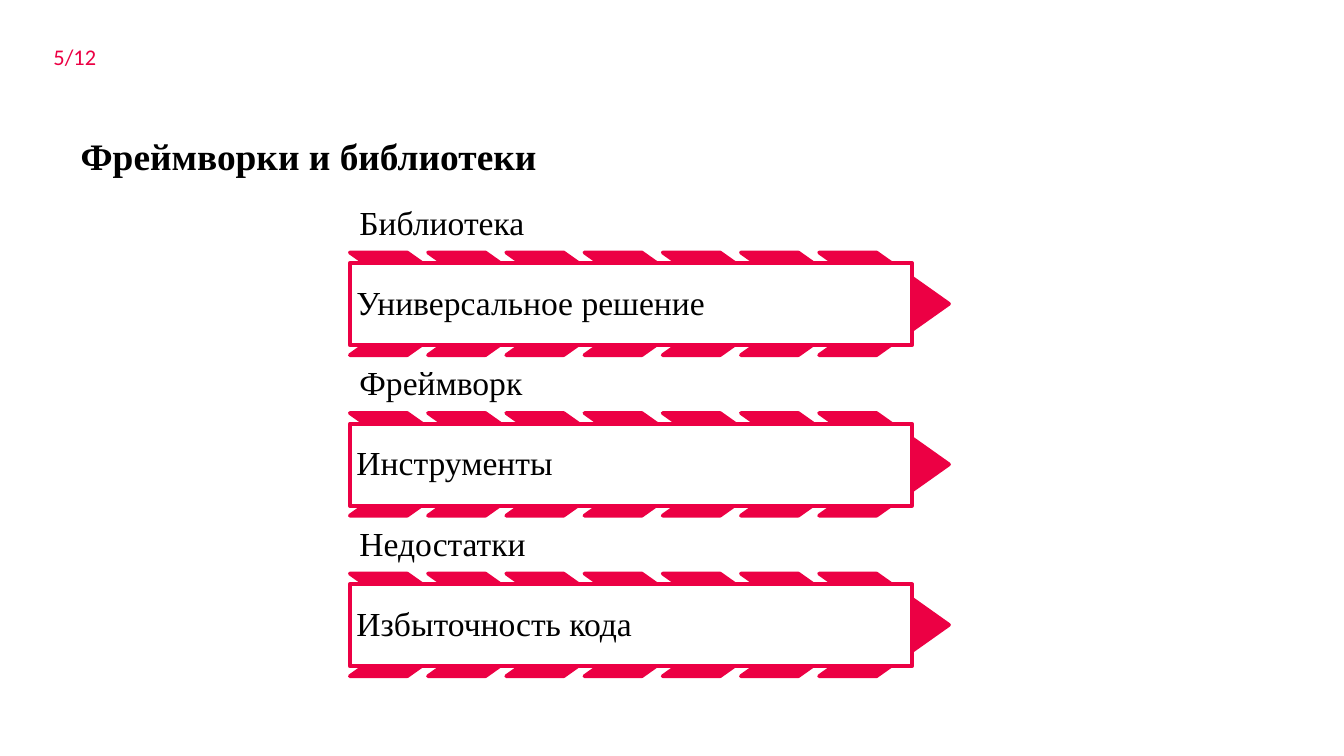
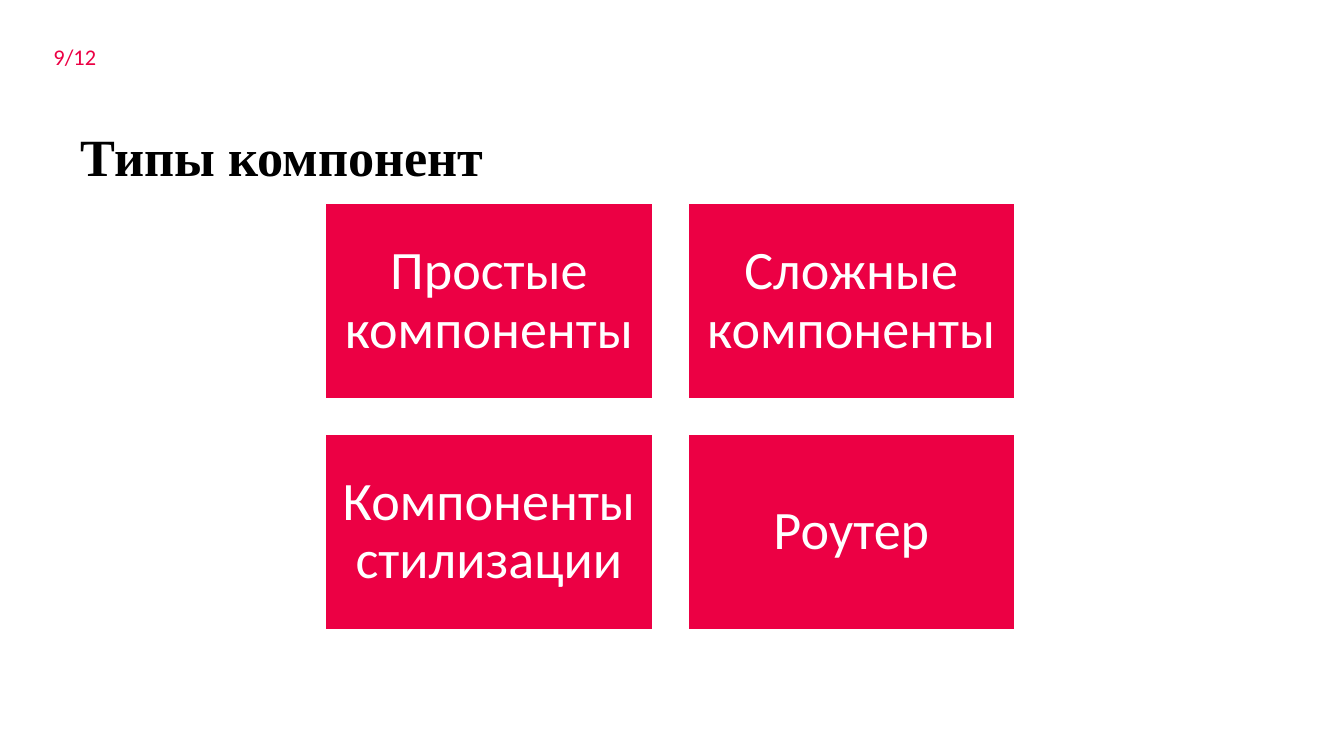
import pptx
import pptx.util
import pptx.dml.color
import pptx.enum.shapes
import pptx.enum.text

Pt = pptx.util.Pt
RGB = pptx.dml.color.RGBColor.from_string
SHAPE = pptx.enum.shapes.MSO_SHAPE
ALIGN = pptx.enum.text.PP_ALIGN
ANCHOR = pptx.enum.text.MSO_ANCHOR
AUTOSIZE = pptx.enum.text.MSO_AUTO_SIZE

COLORS = {"accent": "EC0044", "text": "000000", "white": "FFFFFF"}
SERIF, SANS = "Times New Roman", "Calibri"


def write(sp, text, size, font, color, anchor, inset=None, align=ALIGN.LEFT, spacing=None):
    """Put one formatted paragraph into a shape."""
    tf = sp.text_frame
    tf.word_wrap = True
    tf.vertical_anchor = anchor
    if inset is not None:
        tf.margin_left = tf.margin_right = tf.margin_top = tf.margin_bottom = Pt(inset)
    p = tf.paragraphs[0]
    p.text = text
    p.alignment = align
    p.line_spacing = spacing
    p.font.size = Pt(size)
    p.font.name = font
    p.font.color.rgb = RGB(COLORS[color])
    return tf


def add_block(shapes, kind, x, y, w, h, fill, line):
    """Add a flat preset shape with a 2 pt outline."""
    sp = shapes.add_shape(kind, Pt(x), Pt(y), Pt(w), Pt(h))
    sp.shadow.inherit = False
    sp.fill.solid()
    sp.fill.fore_color.rgb = RGB(COLORS[fill])
    sp.line.color.rgb = RGB(COLORS[line])
    sp.line.width = Pt(2)
    return sp


prs = pptx.Presentation()
prs.slide_width, prs.slide_height = Pt(720), Pt(405)

# Shared parts: title, content group, page number
groups = []
for title, title_size, number in [
    ("Фреймворки и библиотеки", 20, "5/12"),
    ("Типы компонент", 28, "9/12"),
]:
    s = prs.slides.add_slide(prs.slide_layouts.get_by_name("Title Only"))
    sp = s.shapes.title
    sp.left, sp.top, sp.width, sp.height = Pt(36), Pt(59), Pt(494), Pt(49)
    tf = write(sp, title, title_size, SERIF, "text", ANCHOR.MIDDLE)
    tf.auto_size = AUTOSIZE.NONE
    tf.paragraphs[0].font.bold = True

    groups.append(s.shapes.add_group_shape())

    sp = s.shapes.add_textbox(Pt(21.6), Pt(19.4), Pt(43.2), Pt(21.8))
    tf = write(sp, number, 12, SANS, "accent", ANCHOR.TOP)
    tf.auto_size = AUTOSIZE.SHAPE_TO_FIT_TEXT

# Slide 1: labelled chevron rows
shapes = groups[0].shapes
left, top, row_step, chevron_step = 187.4, 108, 86, 41.9
rows = [
    ("Библиотека", "Универсальное решение"),
    ("Фреймворк", "Инструменты"),
    ("Недостатки", "Избыточность кода"),
]
for i, (label, body) in enumerate(rows):
    y = top + i * row_step
    sp = shapes.add_textbox(Pt(left), Pt(y), Pt(297.4), Pt(27))
    write(sp, label, 18, SERIF, "text", ANCHOR.BOTTOM, inset=5.2, spacing=0.9)
    for j in range(7):
        sp = add_block(shapes, SHAPE.CHEVRON, left + j * chevron_step, y + 27.3,
                       69.6, 55, "accent", "accent")
        sp.adjustments[0] = 0.706
    sp = add_block(shapes, SHAPE.RECTANGLE, left, y + 33, 301.2, 44, "white", "accent")
    write(sp, body, 18, SERIF, "text", ANCHOR.MIDDLE, inset=3.6, spacing=0.9)

# Slide 2: two-by-two grid of tiles
shapes = groups[1].shapes
left, top, width, height, gap = 173.8, 108.5, 176.4, 105.8, 17.7
tiles = ["Простые компоненты", "Сложные компоненты", "Компоненты стилизации", "Роутер"]
for i, text in enumerate(tiles):
    row, col = divmod(i, 2)
    sp = add_block(shapes, SHAPE.RECTANGLE, left + col * (width + gap),
                   top + row * (height + gap), width, height, "accent", "white")
    write(sp, text, 29, SANS, "white", ANCHOR.MIDDLE, inset=8.6,
          align=ALIGN.CENTER, spacing=0.9)

prs.save("out.pptx")
